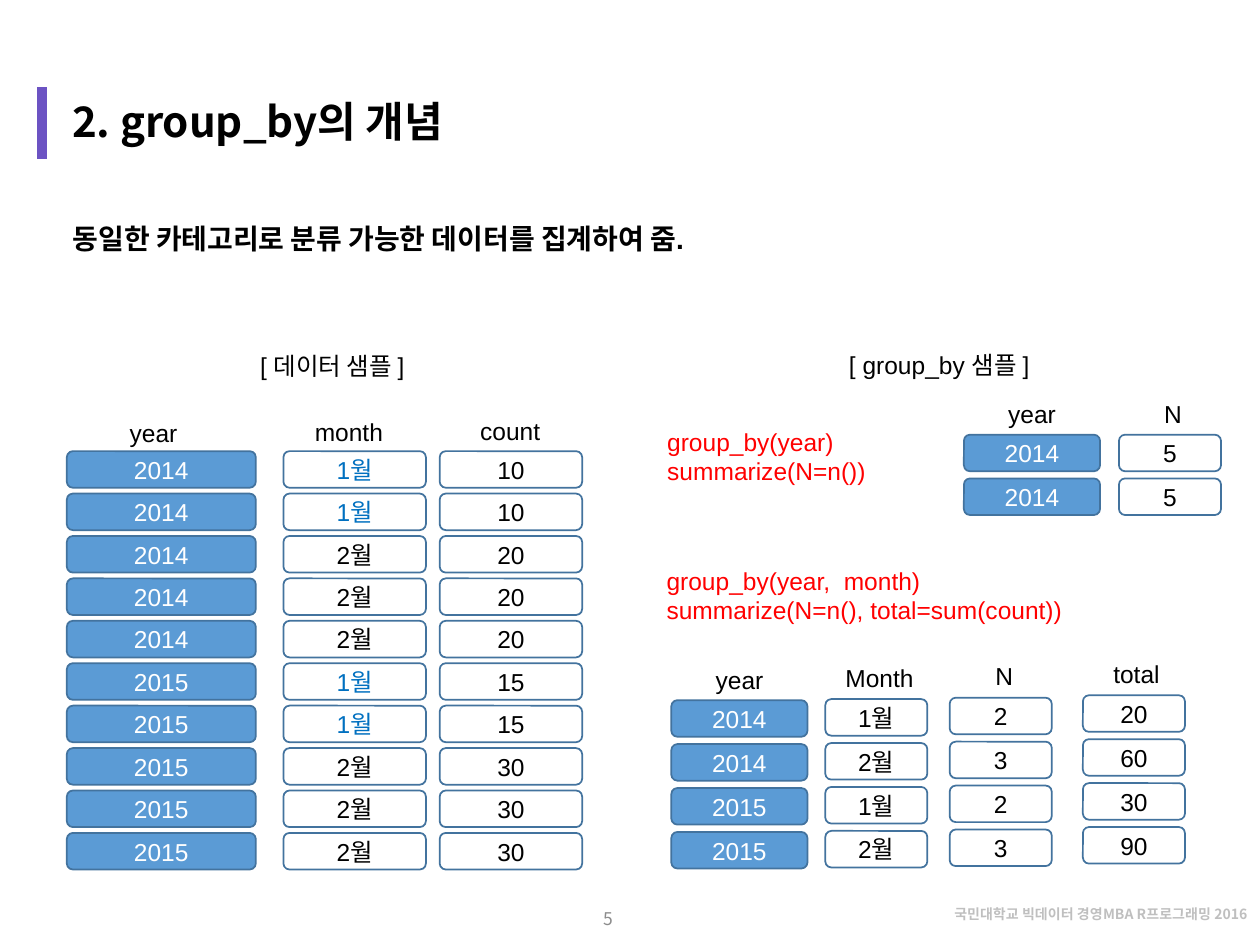
from lxml.etree import SubElement
from pptx import Presentation
from pptx.dml.color import RGBColor
from pptx.enum.shapes import MSO_CONNECTOR, MSO_SHAPE
from pptx.enum.text import MSO_ANCHOR, MSO_AUTO_SIZE, PP_ALIGN
from pptx.oxml.ns import qn
from pptx.util import Pt

COLORS = {
    "text": "000000", "code": "FF0000", "january": "0070C0", "year": "5B9BD5",
    "outline": "43739E", "accent": "6C53C3", "white": "FFFFFF",
    "number": "8C8C8C", "footer": "BFBFBF",
}
LATIN, KOREAN = "Arial", "Noto Sans CJK KR"
CELL_HEIGHT = 20.9
LABEL_HEIGHT = 24.5


def rgb(name):
    return RGBColor.from_string(COLORS[name])


def write_text(frame, text, size=14, color="text", font=LATIN, bold=False,
               align=PP_ALIGN.LEFT, anchor=MSO_ANCHOR.TOP, line_spacing=None):
    frame.word_wrap = True
    frame.auto_size = MSO_AUTO_SIZE.NONE
    frame.vertical_anchor = anchor
    for index, line in enumerate(text.split("\n")):
        paragraph = frame.paragraphs[0] if index == 0 else frame.add_paragraph()
        paragraph.alignment = align
        paragraph.line_spacing = line_spacing
        run = paragraph.add_run()
        run.text = line
        run.font.size = Pt(size)
        run.font.bold = bold
        run.font.name = font
        run.font.color.rgb = rgb(color)
        # East Asian typeface for the Korean letters
        SubElement(run.font._element, qn("a:ea"), typeface=KOREAN)


class SlideBuilder:
    def __init__(self, slide):
        self.slide = slide

    def title(self, text, left, top, width, height):
        heading = self.slide.shapes.title
        heading.left, heading.top = Pt(left), Pt(top)
        heading.width, heading.height = Pt(width), Pt(height)
        write_text(heading.text_frame, text, size=24, font=KOREAN, bold=True,
                   anchor=MSO_ANCHOR.MIDDLE)

    def text(self, text, left, top, width, height, **style):
        box = self.slide.shapes.add_textbox(Pt(left), Pt(top), Pt(width), Pt(height))
        write_text(box.text_frame, text, **style)

    def bar(self, x, top, bottom):
        accent = self.slide.shapes.add_connector(
            MSO_CONNECTOR.STRAIGHT, Pt(x), Pt(top), Pt(x), Pt(bottom))
        accent.line.color.rgb = rgb("accent")
        accent.line.width = Pt(6)
        SubElement(accent._element.spPr, qn("a:effectLst"))

    def cell(self, text, left, top, width, fill=None, color="text"):
        cell = self.slide.shapes.add_shape(
            MSO_SHAPE.ROUNDED_RECTANGLE, Pt(left), Pt(top), Pt(width), Pt(CELL_HEIGHT))
        cell.shadow.inherit = False
        if fill:
            cell.fill.solid()
            cell.fill.fore_color.rgb = rgb(fill)
        else:
            cell.fill.background()
        cell.line.color.rgb = rgb("outline")
        cell.line.width = Pt(1)
        frame = cell.text_frame
        frame.margin_top = frame.margin_bottom = 0
        write_text(frame, text, color=color, align=PP_ALIGN.CENTER,
                   anchor=MSO_ANCHOR.MIDDLE)

    def column(self, name, values, left, top, width, pitch, label_center, label_top,
               label_width=77.8, highlight=None):
        self.text(name, label_center - label_width / 2, label_top, label_width,
                  LABEL_HEIGHT, align=PP_ALIGN.CENTER)
        is_year = name == "year"
        for row, value in enumerate(values):
            color = "white" if is_year else "january" if value == highlight else "text"
            self.cell(value, left, top + row * pitch, width,
                      fill="year" if is_year else None, color=color)


def main():
    deck = Presentation()
    deck.slide_width, deck.slide_height = Pt(720), Pt(540)
    page = SlideBuilder(deck.slides.add_slide(deck.slide_layouts[5]))

    # Heading, footer and page number
    page.bar(24, 49.8, 90.8)
    page.title("2. group_by의 개념", 34, 54.7, 650, 28)
    page.text("국민대학교 빅데이터 경영MBA R프로그래밍 2016", 494.6, 514.8, 225.4, 20,
              size=8, font=KOREAN, bold=True, color="footer",
              align=PP_ALIGN.RIGHT, line_spacing=0.9)
    page.text("5", 266.4, 510.5, 162, 28.8, size=10, font=KOREAN, color="number",
              align=PP_ALIGN.CENTER, anchor=MSO_ANCHOR.MIDDLE)
    page.text("동일한 카테고리로 분류 가능한 데이터를 집계하여 줌.", 34.5, 123.2, 649, 26.6,
              size=16, bold=True)

    # Section captions and code
    page.text("[ 데이터 샘플 ]", 34, 197.3, 311.8, LABEL_HEIGHT, align=PP_ALIGN.CENTER)
    page.text("[ group_by 샘플 ]", 375.8, 196.6, 321.8, LABEL_HEIGHT,
              align=PP_ALIGN.CENTER)
    page.text("group_by(year)\nsummarize(N=n())", 374.2, 240.5, 170.6, 41,
              color="code")
    page.text("group_by(year,  month)\nsummarize(N=n(), total=sum(count))",
              373.8, 319.7, 310.3, 41, color="code")

    # Sample data
    months = ["1월"] * 2 + ["2월"] * 3
    counts = ["10"] * 2 + ["20"] * 3 + ["15"] * 2 + ["30"] * 3
    for name, values, left, width, center, label_top in (
        ("year", ["2014"] * 5 + ["2015"] * 5, 38.2, 108, 87.8, 235.4),
        ("month", months * 2, 162, 81.4, 199.4, 234.7),
        ("count", counts, 251.3, 81.4, 291.6, 234),
    ):
        page.column(name, values, left, 257.8, width, 24.24, center, label_top,
                    label_width=108, highlight="1월")

    # Count by year
    page.column("year", ["2014", "2014"], 550.8, 248.4, 77.8, 25, 589.7, 224.6)
    page.column("N", ["5", "5"], 639.4, 248.4, 58.3, 25, 670.3, 224.6)

    # Count and total by year and month
    for name, values, left, top, width, center, label_top in (
        ("year", ["2014", "2014", "2015", "2015"], 383.6, 400.1, 77.8, 422.6, 376.4),
        ("Month", ["1월", "2월"] * 2, 471.6, 399.5, 58.3, 502.6, 375.1),
        ("N", ["2", "3"] * 2, 542.7, 398.7, 58.3, 573.8, 374.4),
        ("total", ["20", "60", "30", "90"], 618.8, 397.3, 58.3, 649.4, 373),
    ):
        page.column(name, values, left, top, width, 25.1, center, label_top)

    deck.save("out.pptx")


if __name__ == "__main__":
    main()
